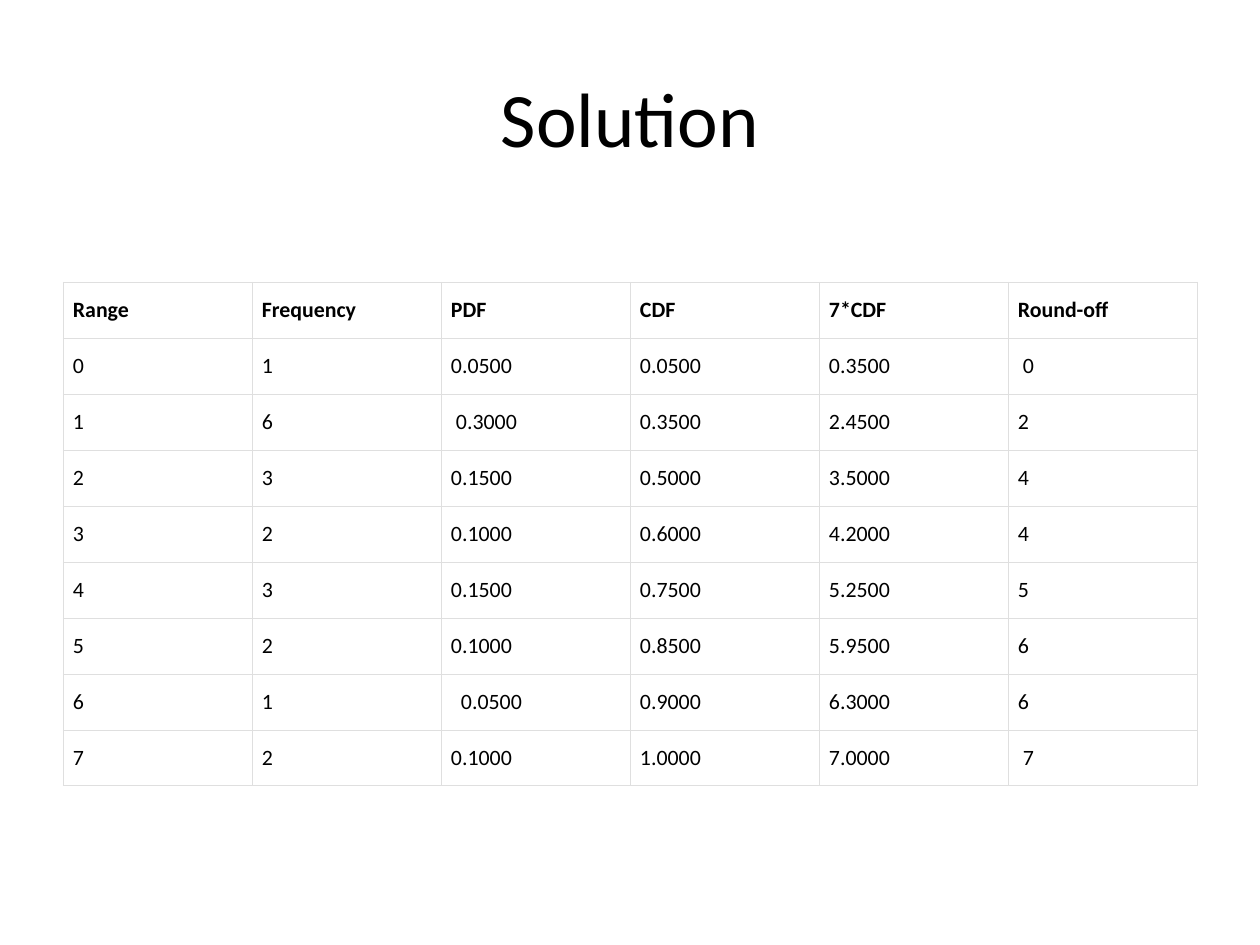
import lxml.etree
import pptx
import pptx.dml.color
import pptx.enum.text
import pptx.oxml.ns
import pptx.util

EMU_PER_PX = 914400 / 126
COLORS = {"text": "000000", "cell": "FFFFFF", "border": "DFDFDF"}
FONT = "Calibri"
COLUMN_WIDTH, ROW_HEIGHT = 189, 56
MARGIN_X, MARGIN_Y = 10, 14

ROWS = [
    ["Range", "Frequency", "PDF", "CDF", "7*CDF", "Round-off"],
    ["0", "1", "0.0500", "0.0500", "0.3500", "0"],
    ["1", "6", "0.3000", "0.3500", "2.4500", "2"],
    ["2", "3", "0.1500", "0.5000", "3.5000", "4"],
    ["3", "2", "0.1000", "0.6000", "4.2000", "4"],
    ["4", "3", "0.1500", "0.7500", "5.2500", "5"],
    ["5", "2", "0.1000", "0.8500", "5.9500", "6"],
    ["6", "1", "0.0500", "0.9000", "6.3000", "6"],
    ["7", "2", "0.1000", "1.0000", "7.0000", "7"],
]
# Extra left margin of single cells, by (row, column)
INDENTS = {(1, 5): 5, (2, 2): 5, (7, 2): 10, (8, 5): 5}


def px(length):
    return pptx.util.Emu(round(length * EMU_PER_PX))


def add_run(paragraph, text, size, bold=False):
    run = paragraph.add_run()
    run.text = text
    run.font.name = FONT
    run.font.size = pptx.util.Pt(size)
    run.font.bold = bold
    run.font.color.rgb = pptx.dml.color.RGBColor.from_string(COLORS["text"])


presentation = pptx.Presentation()
presentation.slide_width = px(1260)
presentation.slide_height = px(945)
slide = presentation.slides.add_slide(presentation.slide_layouts[5])

title = slide.shapes.title
title.left, title.top, title.width, title.height = px(63), px(38), px(1134), px(157)
title.text_frame.vertical_anchor = pptx.enum.text.MSO_ANCHOR.MIDDLE
title_paragraph = title.text_frame.paragraphs[0]
title_paragraph.alignment = pptx.enum.text.PP_ALIGN.CENTER
add_run(title_paragraph, "Solution", 44)

row_count, column_count = len(ROWS), len(ROWS[0])
table = slide.shapes.add_table(
    row_count, column_count, px(63), px(282),
    px(column_count * COLUMN_WIDTH), px(row_count * ROW_HEIGHT),
).table
table.first_row = False
table.horz_banding = False
for column in table.columns:
    column.width = px(COLUMN_WIDTH)
for row in table.rows:
    row.height = px(ROW_HEIGHT)

for row_index, values in enumerate(ROWS):
    for column_index, value in enumerate(values):
        cell = table.cell(row_index, column_index)
        cell.vertical_anchor = pptx.enum.text.MSO_ANCHOR.MIDDLE
        cell.margin_left = px(MARGIN_X + INDENTS.get((row_index, column_index), 0))
        cell.margin_right = px(MARGIN_X)
        cell.margin_top = cell.margin_bottom = px(MARGIN_Y)
        add_run(cell.text_frame.paragraphs[0], value, 12.5, bold=row_index == 0)

        # Borders come before the fill in the cell properties
        properties = cell._tc.get_or_add_tcPr()
        for side in ("a:lnL", "a:lnR", "a:lnT", "a:lnB"):
            line = lxml.etree.SubElement(
                properties, pptx.oxml.ns.qn(side), w=str(pptx.util.Pt(0.18)))
            line_fill = lxml.etree.SubElement(line, pptx.oxml.ns.qn("a:solidFill"))
            lxml.etree.SubElement(
                line_fill, pptx.oxml.ns.qn("a:srgbClr"), val=COLORS["border"])
        cell.fill.solid()
        cell.fill.fore_color.rgb = pptx.dml.color.RGBColor.from_string(COLORS["cell"])

presentation.save("out.pptx")
